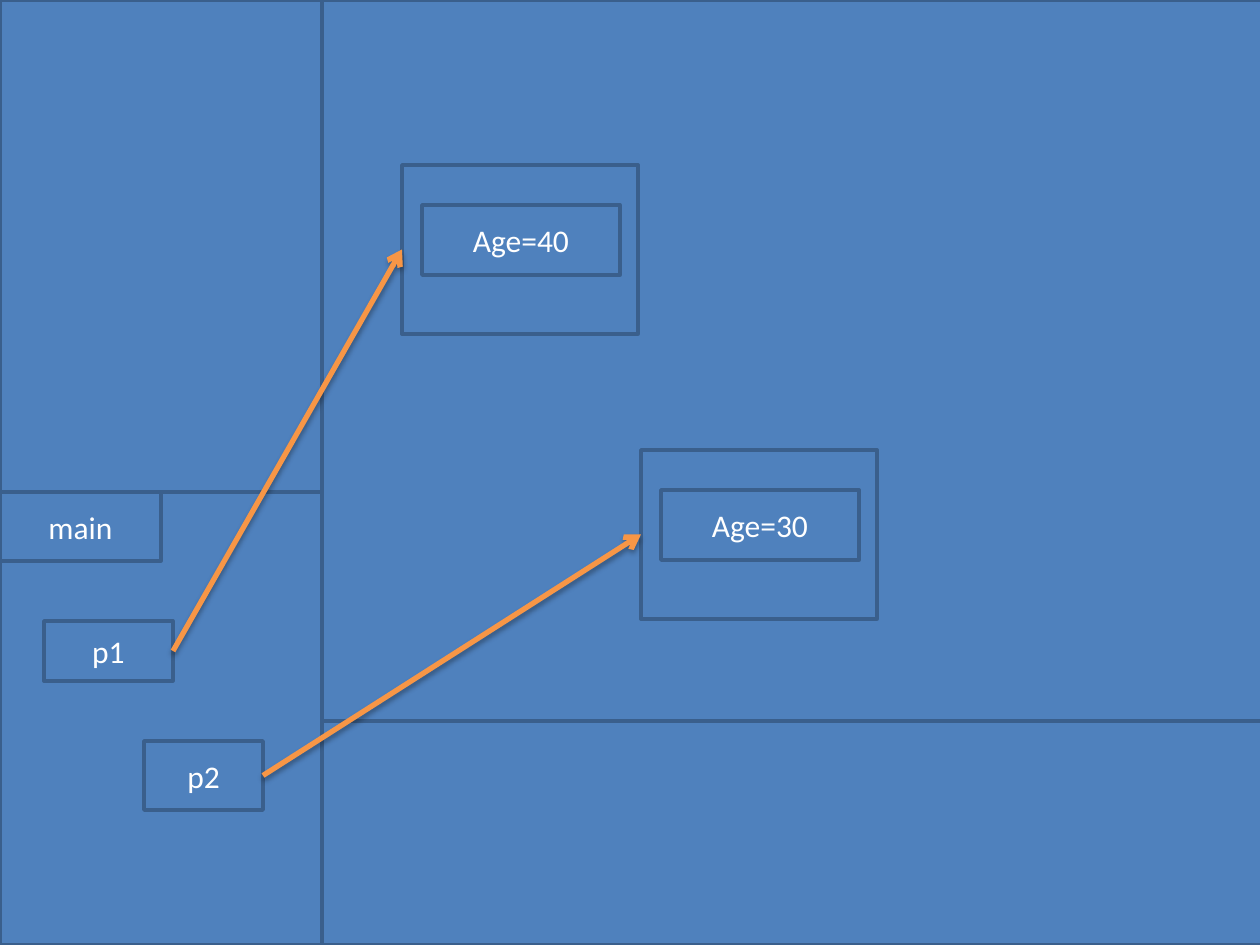
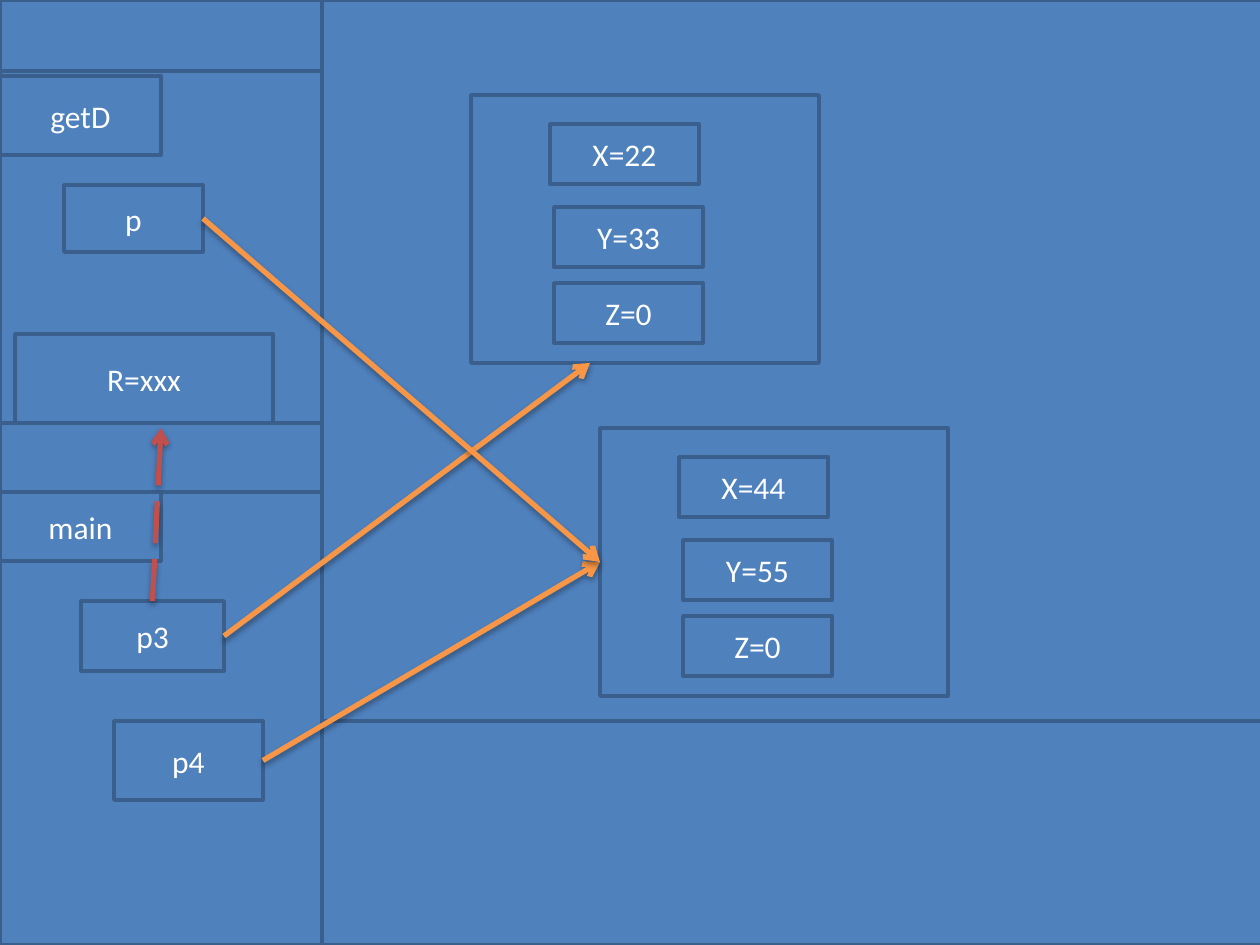
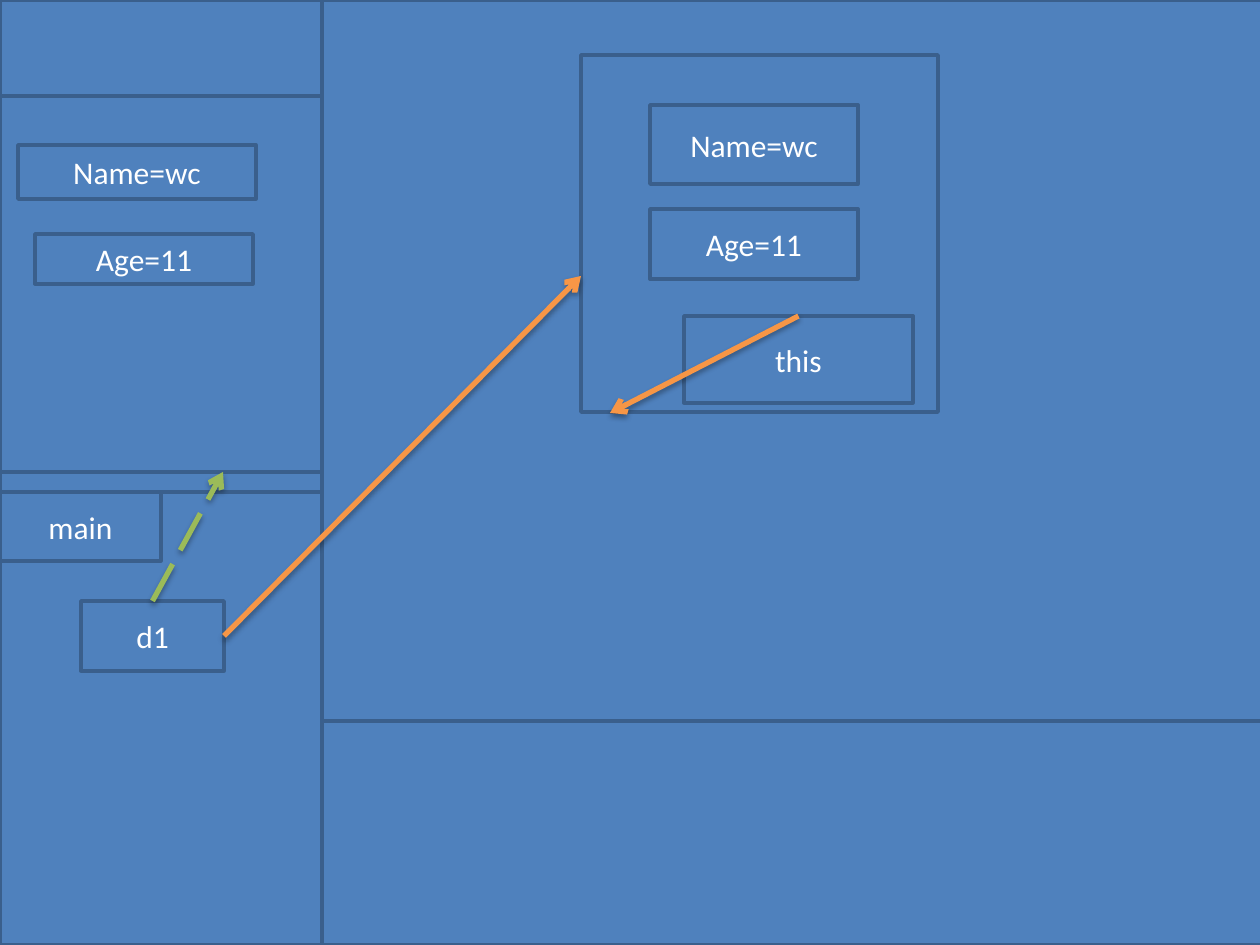
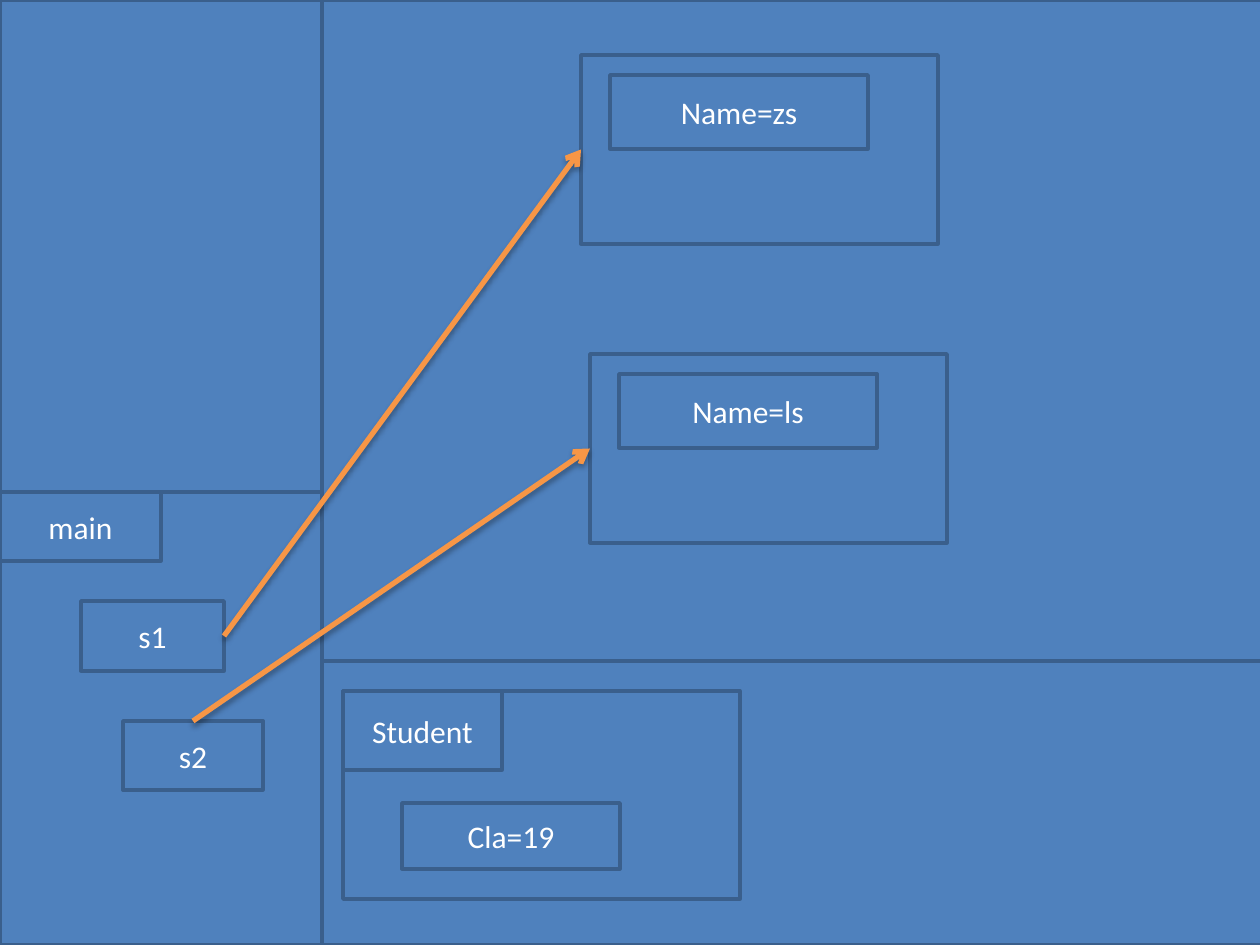
from lxml.etree import SubElement
from pptx import Presentation
from pptx.dml.color import RGBColor
from pptx.enum.dml import MSO_LINE
from pptx.enum.shapes import MSO_CONNECTOR, MSO_SHAPE
from pptx.enum.text import MSO_ANCHOR, PP_ALIGN
from pptx.oxml import parse_xml
from pptx.oxml.ns import nsdecls, qn
from pptx.util import Emu, Pt

# Shared look
FILL, EDGE, INK = "4F81BD", "3A5F8C", "FFFFFF"
ORANGE, RED, GREEN = "F79646", "C0504D", "9BBB59"
FONT = "Calibri"

# Shared layout, in pixels at 126 to the inch
WIDTH, HEIGHT = 1260, 945
MEMORY_WIDTH = 1275
STACK_WIDTH = 322
MAIN_TOP = 492
LABEL_WIDTH = 161
FIRST_VARIABLE = (81, 601, 143, 70)

# Connection sites of a rectangle
TOP, LEFT, RIGHT = 0, 1, 3

SHADOW = (
    f'<a:effectLst {nsdecls("a")}>'
    '<a:outerShdw blurRad="40000" dist="23000" dir="5400000" rotWithShape="0">'
    '<a:srgbClr val="000000"><a:alpha val="35000"/></a:srgbClr>'
    "</a:outerShdw></a:effectLst>"
)


def px(length):
    return Emu(round(length * 914400 / 126))


def color(hex_code):
    return RGBColor.from_string(hex_code)


# Kinds of element
def box(slide, x, y, width, height, label=None):
    rect = slide.shapes.add_shape(
        MSO_SHAPE.RECTANGLE, px(x), px(y), px(width), px(height))
    rect.shadow.inherit = False
    rect.fill.solid()
    rect.fill.fore_color.rgb = color(FILL)
    rect.line.color.rgb = color(EDGE)
    rect.line.width = Pt(2)
    if label:
        frame = rect.text_frame
        frame.text = label
        frame.vertical_anchor = MSO_ANCHOR.MIDDLE
        paragraph = frame.paragraphs[0]
        paragraph.alignment = PP_ALIGN.CENTER
        font = paragraph.runs[0].font
        font.name, font.size = FONT, Pt(18)
        font.color.rgb = color(INK)
    return rect


def heap_object(slide, x, y, width, height, fields):
    """Draw an object; its fields are placed relative to its corner."""
    outline = box(slide, x, y, width, height)
    members = [box(slide, x + dx, y + dy, w, h, label)
               for label, dx, dy, w, h in fields]
    return outline, members


def arrow(slide, source, side, target, hue=ORANGE, dashed=False):
    """Lead from a side of source to the left of a box, or to a point."""
    free_end = isinstance(target, tuple)
    end_x, end_y = map(px, target) if free_end else (0, 0)
    link = slide.shapes.add_connector(
        MSO_CONNECTOR.STRAIGHT, source.left, source.top, end_x, end_y)
    link.begin_connect(source, side)
    if not free_end:
        link.end_connect(target, LEFT)
    link.line.color.rgb = color(hue)
    link.line.width = Pt(3)
    if dashed:
        link.line.dash_style = MSO_LINE.LONG_DASH
    properties = link._element.spPr
    SubElement(properties.find(qn("a:ln")), qn("a:tailEnd"), type="arrow")
    properties.append(parse_xml(SHADOW))


def memory_slide(deck, static_top=721):
    """Heap behind, stack on the left, static area below, main's frame."""
    slide = deck.slides.add_slide(deck.slide_layouts[6])
    box(slide, 0, 0, MEMORY_WIDTH, HEIGHT)
    box(slide, 0, 0, STACK_WIDTH, HEIGHT)
    box(slide, STACK_WIDTH, static_top,
        MEMORY_WIDTH - STACK_WIDTH, HEIGHT - static_top)
    box(slide, 0, MAIN_TOP, STACK_WIDTH, HEIGHT - MAIN_TOP)
    box(slide, 0, MAIN_TOP, LABEL_WIDTH, 69, "main")
    return slide


# Slides
def two_people(deck):
    slide = memory_slide(deck)
    variables = (("p1", (44, 621, 129, 60), (402, 165), "Age=40"),
                 ("p2", (144, 741, 119, 69), (641, 450), "Age=30"))
    for name, place, corner, age in variables:
        variable = box(slide, *place, name)
        person, _ = heap_object(slide, *corner, 236, 169,
                                [(age, 20, 40, 198, 70)])
        arrow(slide, variable, RIGHT, person)


def point_object(slide, x, y, values):
    offsets = ((79, 29), (83, 112), (83, 188))
    fields = [(value, *offset, 149, 60)
              for value, offset in zip(values, offsets)]
    return heap_object(slide, x, y, 348, 268, fields)[0]


def points_and_call(deck):
    slide = memory_slide(deck)
    p3 = box(slide, *FIRST_VARIABLE, "p3")
    point_object(slide, 471, 95, ("X=22", "Y=33", "Z=0"))
    arrow(slide, p3, RIGHT, (590, 363))
    p4 = box(slide, 114, 721, 149, 79, "p4")
    second_point = point_object(slide, 600, 428, ("X=44", "Y=55", "Z=0"))
    arrow(slide, p4, RIGHT, second_point)

    # Frame of getD
    box(slide, 0, 71, STACK_WIDTH, 352)
    box(slide, 0, 76, LABEL_WIDTH, 79, "getD")
    arrow(slide, p3, TOP, (161, 428), RED, dashed=True)
    parameter = box(slide, 64, 185, 139, 67, "p")
    arrow(slide, parameter, RIGHT, second_point)
    box(slide, 15, 334, 258, 89, "R=xxx")


def constructor_call(deck):
    slide = memory_slide(deck)
    d1 = box(slide, *FIRST_VARIABLE, "d1")
    _, members = heap_object(slide, 581, 55, 357, 357, [
        ("Name=wc", 69, 50, 208, 79),
        ("Age=11", 69, 154, 208, 70),
        ("this", 103, 261, 229, 87),
    ])

    # Frame of the constructor
    box(slide, 0, 96, STACK_WIDTH, 376)
    arrow(slide, d1, TOP, (223, 472), GREEN, dashed=True)
    box(slide, 18, 145, 238, 54, "Name=wc")
    box(slide, 35, 234, 218, 50, "Age=11")

    arrow(slide, d1, RIGHT, (581, 276))
    arrow(slide, members[-1], TOP, (610, 413))


def static_field(deck):
    slide = memory_slide(deck, static_top=661)
    students = (("s1", FIRST_VARIABLE, RIGHT, (581, 55), "Name=zs"),
                ("s2", (123, 721, 140, 69), TOP, (590, 354), "Name=ls"))
    for name, place, side, corner, value in students:
        variable = box(slide, *place, name)
        student, _ = heap_object(slide, *corner, 357, 189,
                                 [(value, 29, 20, 258, 74)])
        arrow(slide, variable, side, student)

    # Class in the static area
    heap_object(slide, 343, 691, 397, 208, [
        ("Student", 0, 0, 159, 79),
        ("Cla=19", 59, 112, 218, 66),
    ])


def main():
    deck = Presentation()
    deck.slide_width, deck.slide_height = px(WIDTH), px(HEIGHT)
    two_people(deck)
    points_and_call(deck)
    constructor_call(deck)
    static_field(deck)
    deck.save("out.pptx")


main()
